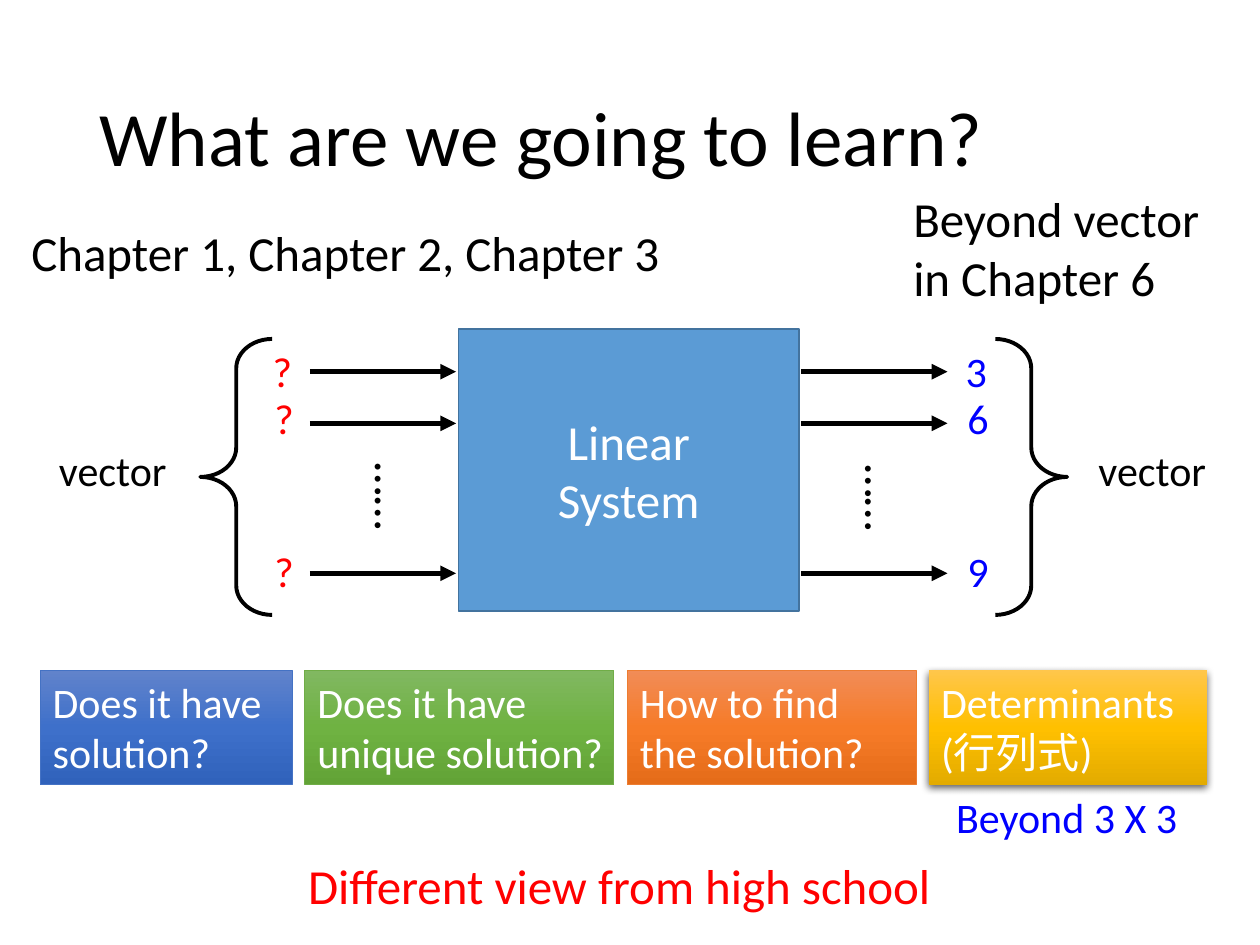
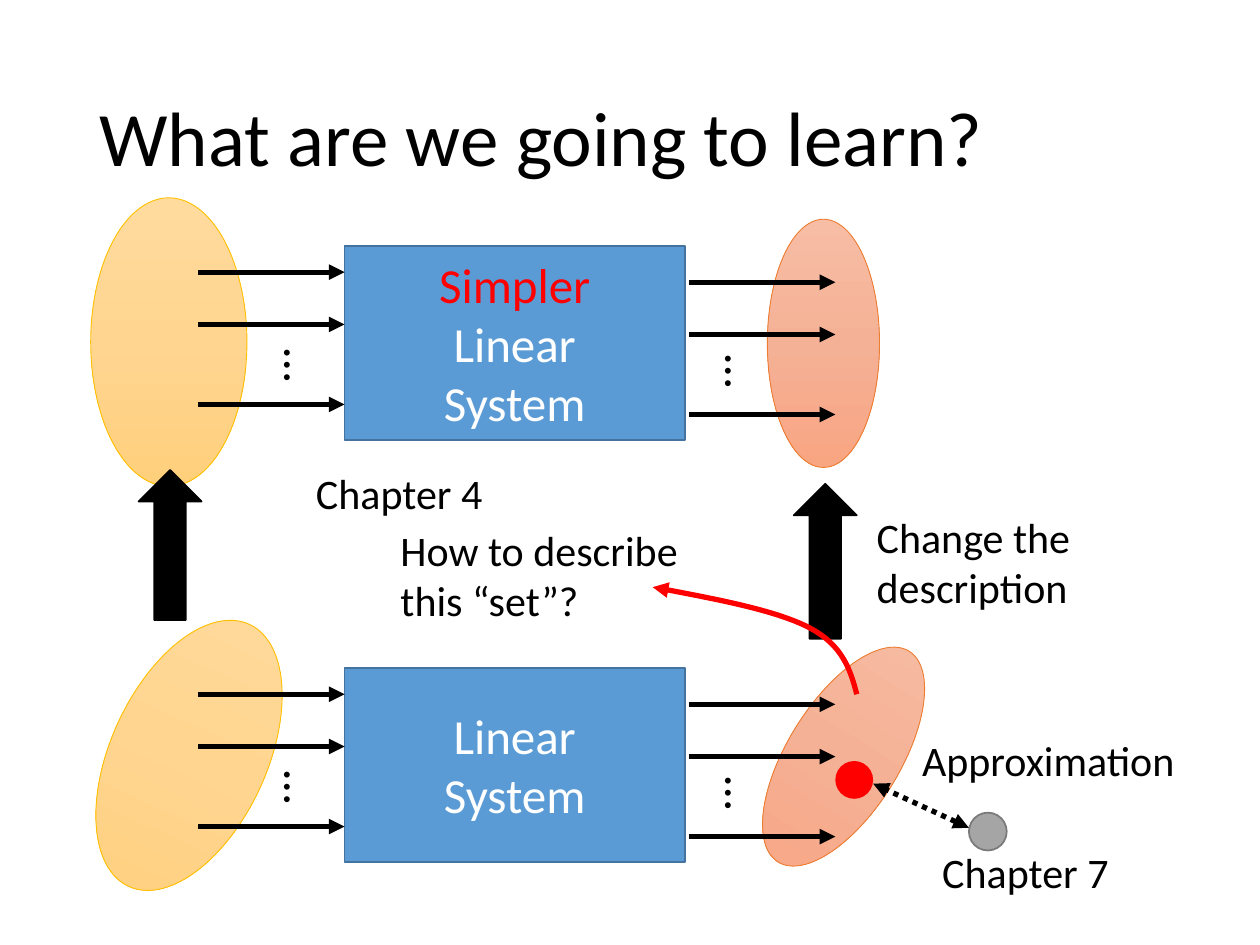
from copy import deepcopy

from lxml.etree import SubElement
from pptx import Presentation
from pptx.dml.color import RGBColor
from pptx.enum.dml import MSO_LINE
from pptx.enum.shapes import MSO_CONNECTOR, MSO_SHAPE as SHAPE
from pptx.enum.text import MSO_ANCHOR as ANCHOR, PP_ALIGN as ALIGN
from pptx.oxml.ns import qn
from pptx.util import Inches, Pt

# The slide is a grid of 100 columns by 75 rows
COLS, ROWS = 100, 75
CELL = Inches(0.1)

FONT = "Calibri"
BLACK, WHITE, RED, BLUE = "000000", "FFFFFF", "FF0000", "0000FF"
SYSTEM_FILL, SYSTEM_LINE = "5B9BD5", "43739E"
GRAY, GRAY_LINE = "A5A5A5", "7A7A7A"
INPUT_SET = (("FFDB9E", "FFD590", "FFD07C"), "FFC000")
OUTPUT_SET = (("F7BDA5", "F5B196", "F8A582"), "ED7D31")
ARROW_COLS = 11.6


def rgb(value):
    return RGBColor.from_string(value)


def cells(*counts):
    return [int(n * CELL) for n in counts]


def write(sp, lines, size, color, align=ALIGN.LEFT, anchor=ANCHOR.TOP,
          wrap=True, first_color=None):
    """Fill a shape with one paragraph per line."""
    tf = sp.text_frame
    tf.word_wrap = wrap
    tf.vertical_anchor = anchor
    tf.text = lines
    for i, p in enumerate(tf.paragraphs):
        p.alignment = align
        p.font.name, p.font.size = FONT, Pt(size)
        p.font.color.rgb = rgb(first_color if first_color and i == 0 else color)
    return tf


def label(s, text, x, y, w, h=5, size=24, color=BLACK, rotation=0, **style):
    tb = s.shapes.add_textbox(*cells(x, y, w, h))
    tb.rotation = rotation
    return write(tb, text, size, color, **style)


def fill_gradient(sp, colors):
    """Three-stop gradient running from top to bottom."""
    sp.fill.gradient()
    sp.fill.gradient_angle = 270
    stops = sp.element.spPr.find(".//" + qn("a:gsLst"))
    stops.insert(1, deepcopy(stops[0]))
    for i, (stop, color) in enumerate(zip(sp.fill.gradient_stops, colors)):
        stop.position = i / 2
        stop.color.rgb = rgb(color)


def shape(s, kind, x, y, w, h, fill=None, line=None, width=1, rotation=0):
    sp = s.shapes.add_shape(kind, *cells(x, y, w, h))
    sp.shadow.inherit = False
    sp.rotation = rotation
    if isinstance(fill, tuple):
        fill_gradient(sp, fill)
    elif fill:
        sp.fill.solid()
        sp.fill.fore_color.rgb = rgb(fill)
    else:
        sp.fill.background()
    if line:
        sp.line.color.rgb = rgb(line)
        sp.line.width = Pt(width)
    else:
        sp.line.fill.background()
    return sp


def drop_shadow(sp):
    effects = sp.element.spPr.find(qn("a:effectLst"))
    shadow = SubElement(effects, qn("a:outerShdw"), blurRad=str(Pt(4.5)),
                        dist=str(Pt(1.5)), dir="5400000", rotWithShape="0")
    color = SubElement(shadow, qn("a:srgbClr"), val=BLACK)
    SubElement(color, qn("a:alpha"), val="63000")


def style_arrow(sp, color, ends):
    sp.line.color.rgb = rgb(color)
    sp.line.width = Pt(3)
    ln = sp.element.spPr.get_or_add_ln()
    for end in ends:
        SubElement(ln, qn(f"a:{end}End"), type="triangle")


def arrow(s, x1, y1, x2, y2, dotted=False):
    c = s.shapes.add_connector(MSO_CONNECTOR.STRAIGHT, *cells(x1, y1, x2, y2))
    if dotted:
        c.line.dash_style = MSO_LINE.ROUND_DOT
    style_arrow(c, BLACK, ("head", "tail") if dotted else ("tail",))
    SubElement(c.element.spPr, qn("a:effectLst"))


def bezier(start, c1, c2, end, steps=16):
    """Points along a cubic curve, without its start."""
    for i in range(1, steps + 1):
        t = i / steps
        u = 1 - t
        yield tuple(u**3 * a + 3 * u * u * t * b + 3 * u * t * t * c + t**3 * d
                    for a, b, c, d in zip(start, c1, c2, end))


def curved_arrow(s, start, *segments):
    points = [start]
    for segment in segments:
        points += bezier(points[-1], *segment)
    # Whole EMU points keep the curve smooth
    first, *rest = [cells(*point) for point in points]
    path = s.shapes.build_freeform(*first)
    path.add_line_segments(rest, close=False)
    sp = path.convert_to_shape()
    sp.shadow.inherit = False
    sp.fill.background()
    style_arrow(sp, RED, ("tail",))


def system_box(s, text, x, y, h, first_color=None):
    box = shape(s, SHAPE.RECTANGLE, x, y, 27, h, SYSTEM_FILL, SYSTEM_LINE)
    write(box, text, 28, WHITE, ALIGN.CENTER, ANCHOR.MIDDLE,
          first_color=first_color)


def signals(s, x, rows, dots, dots_x, dots_y):
    """Parallel arrows with an upright ellipsis between them."""
    for y in rows:
        arrow(s, x, y, x + ARROW_COLS, y)
    label(s, dots, dots_x, dots_y, 8.6, 5.7, size=28, rotation=90)


def new_slide(prs):
    s = prs.slides.add_slide(prs.slide_layouts[6])
    tf = label(s, "What are we going to learn?", 6.9, 4, 86.2, 14.5, size=44,
               anchor=ANCHOR.MIDDLE)
    tf.paragraphs[0].line_spacing = 0.9
    return s


def questions_slide(prs):
    s = new_slide(prs)

    # Chapter headings
    label(s, "Chapter 1, Chapter 2, Chapter 3", 1.5, 17.2, 54.8, 5.7, size=28)
    label(s, "Beyond vector in Chapter 6", 71.5, 14.5, 26.4, 10.4, size=28)

    # System with its inputs and outputs
    system_box(s, "Linear\nSystem", 36.4, 26.1, 22.4)
    for x, dots_x, dots_y in ((24.6, 27, 37.2), (63.6, 65.9, 37.3)):
        signals(s, x, (29.5, 33.6, 45.5), "……", dots_x, dots_y)
    for x, color, values in ((20.8, RED, "???"), (75.8, BLUE, "369")):
        for value, y, shift in zip(values, (26.9, 30.7, 42.8), (-0.15, 0, 0)):
            label(s, value, x + shift, y, 11.6, color=color)

    # Braces that name both sides as vectors
    for kind, x, text_x in ((SHAPE.LEFT_BRACE, 15.9, 3.7),
                            (SHAPE.RIGHT_BRACE, 79, 86.2)):
        brace = shape(s, kind, x, 26.9, 5.7, 21.9, line=BLACK, width=2.25)
        brace.adjustments[0] = 0.41
        label(s, "vector", text_x, 34.8, 10.6, wrap=False)

    # Row of questions; the last number is the right inset in columns
    cards = (
        ("Does it have solution?", 3.2, 20,
         ("6183CB", "3E70CA", "3062BB"), "4472C4", 1),
        ("Does it have unique solution?", 24.2, 24.5,
         ("81B861", "6FB242", "62A336"), "70AD47", 0),
        ("How to find the solution?", 49.8, 22.9,
         ("F18C57", "F67B28", "E56C19"), "ED7D31", 1),
        ("Determinants (行列式)", 73.7, 22.1,
         ("FFC64B", "FFC000", "E3AB00"), None, 1),
    )
    for text, x, w, colors, line, inset in cards:
        card = shape(s, SHAPE.RECTANGLE, x, 53.2, w, 9.1, colors, line, 0.5)
        tf = write(card, text, 24, WHITE)
        tf.margin_right = inset * CELL
    drop_shadow(card)

    # Closing remarks
    label(s, "Beyond 3 X 3", 74.9, 62.3, 19.7, color=BLUE, wrap=False)
    label(s, "Different view from high school", 14, 67.4, 70.3, 5.7, size=28,
          color=RED, align=ALIGN.CENTER)


def set_ellipse(s, colors, x, y, w, h, rotation=0):
    shape(s, SHAPE.OVAL, x, y, w, h, *colors, width=0.5, rotation=rotation)


def description_slide(prs):
    s = new_slide(prs)

    # Sets before and after the change of description
    shape(s, SHAPE.UP_ARROW, 63, 38.4, 5, 12.3, BLACK, BLACK)
    set_ellipse(s, OUTPUT_SET, 62.5, 50.2, 8.9, 19.7, 31.9)
    set_ellipse(s, INPUT_SET, 8.8, 48.5, 12.4, 22.9, 24.7)
    set_ellipse(s, OUTPUT_SET, 60.9, 17.4, 8.9, 19.7)
    set_ellipse(s, INPUT_SET, 7.2, 15.7, 12.4, 22.9)
    shape(s, SHAPE.UP_ARROW, 11, 37.3, 5, 11.9, BLACK, BLACK)

    # Simpler system above, first system below
    for text, top, first_color in (("Simpler\nLinear\nSystem", 19.5, RED),
                                   ("Linear\nSystem", 53, None)):
        system_box(s, text, 27.35, top, 15.4, first_color)
        for x, drop, dots_x, dots_drop in ((15.75, 2.1, 19.8, 8.65),
                                           (54.7, 2.9, 54.8, 9.1)):
            rows = [top + drop + step for step in (0, 4.15, 10.5)]
            signals(s, x, rows, "…", dots_x, top + dots_drop)

    # Curve from the output set to its question
    curved_arrow(s, (68, 55.1),
                 ((67.5, 53.2), (66.9, 51.2), (64.2, 49.8)),
                 ((61.5, 48.4), (56.6, 47.5), (51.8, 46.6)))

    # Approximation of an outside point
    shape(s, SHAPE.OVAL, 76.9, 64.5, 3, 3, GRAY, GRAY_LINE)
    shape(s, SHAPE.OVAL, 66.3, 60.4, 3, 3, RED)
    arrow(s, 76.9, 65.7, 69.3, 62.2, dotted=True)

    # Remarks
    for text, x, y, w, h in (
            ("How to describe this “set”?", 30.8, 41.1, 24.8, 9.1),
            ("Chapter 4", 24.1, 36.6, 18, 5),
            ("Chapter 7", 73.8, 66.7, 18, 5),
            ("Approximation", 72.2, 57.8, 22.3, 5),
            ("Change the description", 68.6, 40.1, 22.3, 9.1)):
        label(s, text, x, y, w, h)


def main():
    prs = Presentation()
    prs.slide_width, prs.slide_height = cells(COLS, ROWS)
    questions_slide(prs)
    description_slide(prs)
    prs.save("out.pptx")


if __name__ == "__main__":
    main()
